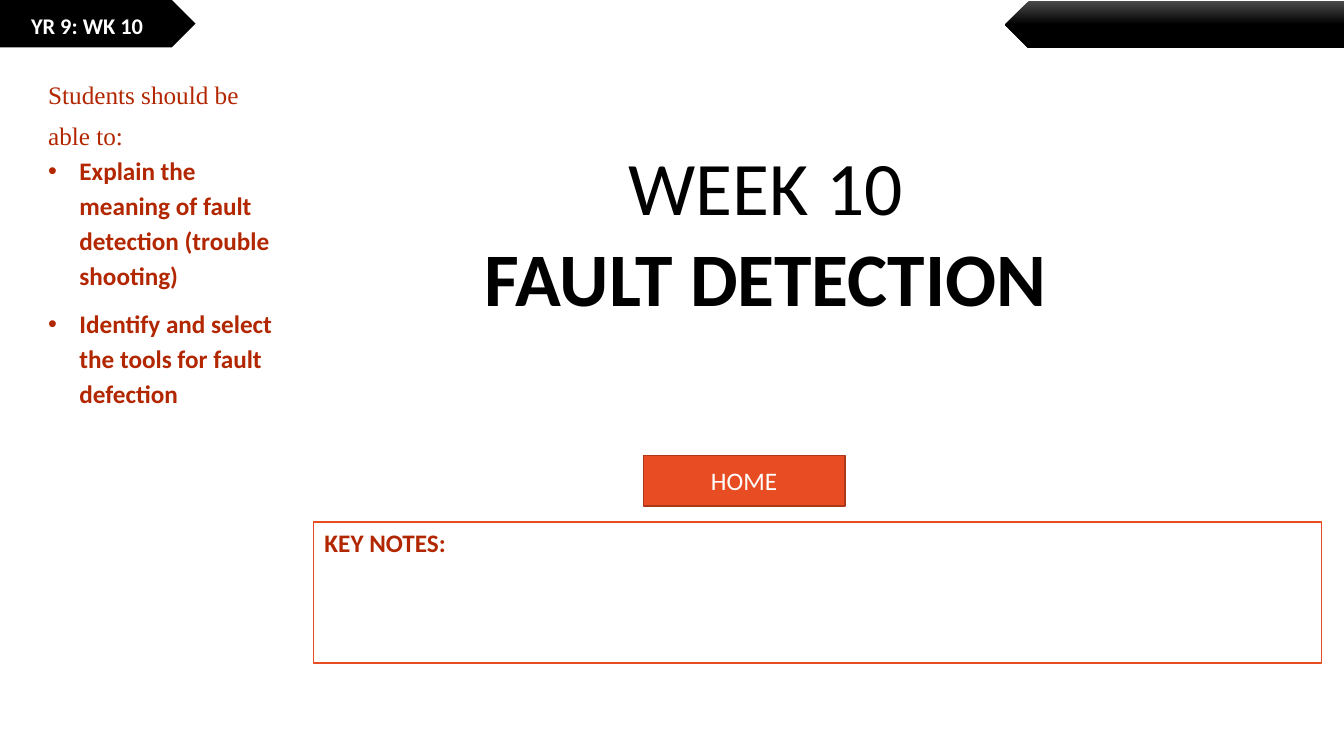
"""Build the Week 10 fault detection lesson slide."""
import pptx
import pptx.dml.color
import pptx.enum.shapes
import pptx.enum.text
import pptx.oxml.ns
import pptx.util
from lxml import etree

Inches, Pt = pptx.util.Inches, pptx.util.Pt
Shape = pptx.enum.shapes.MSO_SHAPE
Align = pptx.enum.text.PP_ALIGN
Anchor = pptx.enum.text.MSO_ANCHOR
theme = {
    "black": "000000", "grey": "4B4B4B", "white": "FFFFFF",
    "rust": "B22600", "orange": "E84C22", "edge": "AC3819",
    "sans": "Calibri", "serif": "Times New Roman",
    "text": 18, "tag": 16, "title": 54,
}


def color(name):
    return pptx.dml.color.RGBColor.from_string(theme[name])


def write(para, text, ink, size="text", face="sans", bold=False):
    run = para.add_run()
    run.text = text
    style = {"name": theme[face], "size": Pt(theme[size]), "bold": bold}
    for key, value in style.items():
        setattr(run.font, key, value)
    run.font.color.rgb = color(ink)


deck = pptx.Presentation()
deck.slide_width, deck.slide_height = Inches(13.33), Inches(7.5)
slide = deck.slides.add_slide(deck.slide_layouts[6])

panels = {
    "tab": (Shape.PENTAGON, (0, 0, 1.94, 0.47), "black", None),
    "banner": (Shape.PENTAGON, (9.97, 0.01, 3.37, 0.47), "black", None),
    "notes": (Shape.RECTANGLE, (3.11, 5.18, 10, 1.4), "white", "orange"),
    "goals": (Shape.RECTANGLE, (0.38, 0.77, 2.6, 5.89), "white", None),
    "home": (Shape.RECTANGLE, (6.38, 4.52, 2, 0.5), "orange", "edge"),
}
parts = {}
for name, (kind, box, fill, line) in panels.items():
    part = slide.shapes.add_shape(kind, *map(Inches, box))
    part.shadow.inherit = False
    part.fill.solid()
    part.fill.fore_color.rgb = color(fill)
    if line:
        part.line.color.rgb = color(line)
        part.line.width = Pt(1)
    else:
        part.line.fill.background()
    parts[name] = part

banner = parts["banner"]
banner.element.spPr.xfrm.set("flipH", "1")
banner.fill.gradient()
banner.fill.gradient_angle = 270
for stop, ink, place in zip(banner.fill.gradient_stops, ("grey", "black"), (0, 0.5)):
    stop.color.rgb = color(ink)
    stop.position = place

labels = [
    ((3.12, 5.18, 2.6, 0.4), Align.LEFT, [("KEY NOTES:", "rust", "text", True)]),
    ((0.21, 0.07, 1.44, 0.37), Align.LEFT, [("YR 9: WK 10", "white", "tag", True)]),
    ((4.07, 1.34, 7.05, 1.92), Align.CENTER, [
        ("WEEK 10", "black", "title", False),
        ("FAULT DETECTION", "black", "title", True),
    ]),
]
for box, align, lines in labels:
    frame = slide.shapes.add_textbox(*map(Inches, box)).text_frame
    frame.word_wrap = True
    for row, (text, ink, size, bold) in enumerate(lines):
        para = frame.add_paragraph() if row else frame.paragraphs[0]
        para.alignment = align
        write(para, text, ink, size, bold=bold)

goals = parts["goals"].text_frame
goals.vertical_anchor = Anchor.TOP
intro = {"alignment": Align.LEFT, "line_spacing": 0.9}
point = {"alignment": Align.LEFT, "line_spacing": 1.15, "space_after": Pt(10)}
lines = [
    ("Students should be", False),
    ("able to:", False),
    ("Explain the meaning of fault detection (trouble shooting)", True),
    ("Identify and select the tools for fault defection", True),
]
for row, (text, listed) in enumerate(lines):
    para = goals.add_paragraph() if row else goals.paragraphs[0]
    if listed:
        props = para._p.get_or_add_pPr()
        props.set("marL", str(Inches(0.31)))
        props.set("indent", str(Inches(-0.31)))
        for tag, key, value in (("a:buFont", "typeface", "Arial"), ("a:buChar", "char", "•")):
            etree.SubElement(props, pptx.oxml.ns.qn(tag)).set(key, value)
    elif row:
        para.space_before = Pt(10)
    for key, value in (point if listed else intro).items():
        setattr(para, key, value)
    write(para, text, "rust", face="sans" if listed else "serif", bold=listed)

home = parts["home"].text_frame
home.vertical_anchor = Anchor.MIDDLE
home.paragraphs[0].alignment = Align.CENTER
write(home.paragraphs[0], "HOME", "white")

deck.save("out.pptx")
